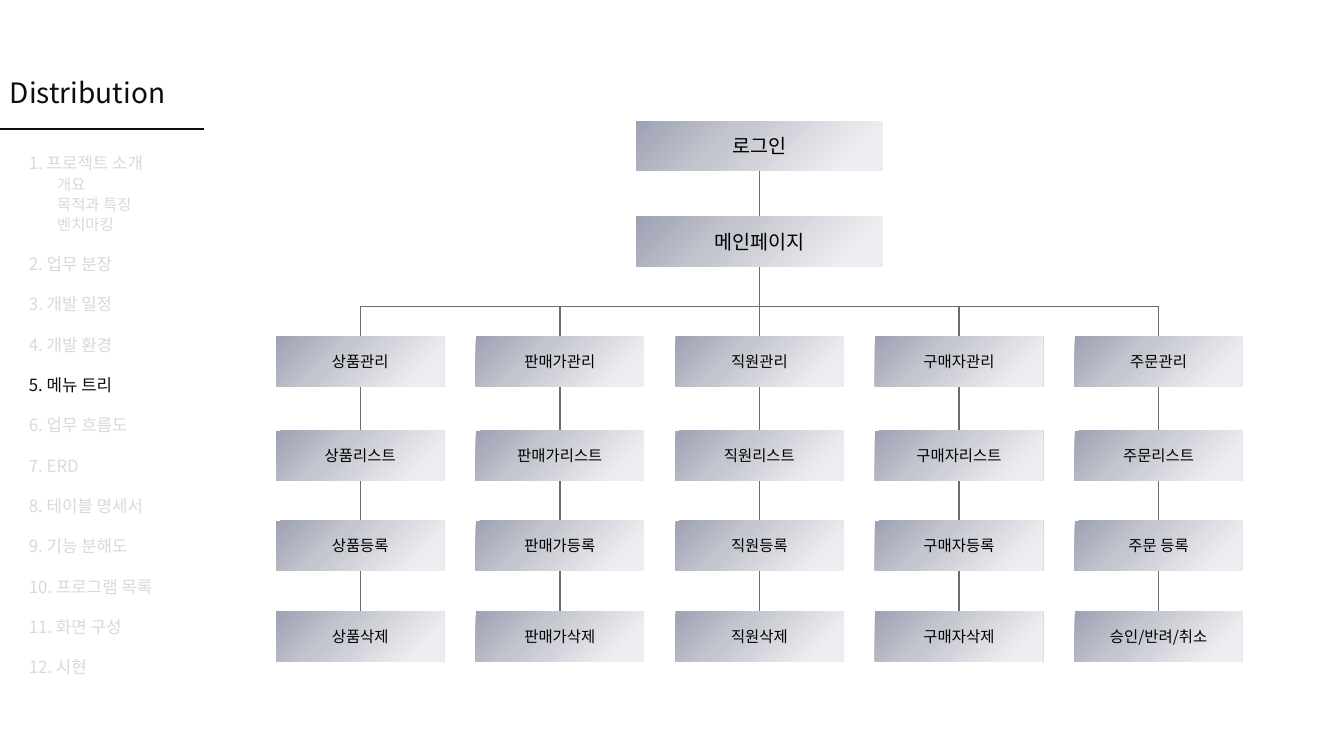
import pptx
import pptx.dml.color
import pptx.enum.shapes
import pptx.enum.text
import pptx.oxml
import pptx.oxml.ns
import pptx.util

Cm, Pt = pptx.util.Cm, pptx.util.Pt
FONT = "Noto Sans CJK KR"
INK, MUTED, BRANCH = "0D0D0D", "D9D9D9", "6C6C6C"
NODE_STOPS = [(0, "9DA1B3"), (37, "C4C6CF"), (84, "ECEDF0")]

CHAPTERS = ["프로젝트 소개", "업무 분장", "개발 일정", "개발 환경", "메뉴 트리", "업무 흐름도",
            "ERD", "테이블 명세서", "기능 분해도", "프로그램 목록", "화면 구성", "시현"]
INTRO_TOPICS = ["개요", "목적과 특징", "벤치마킹"]
CURRENT_CHAPTER = "메뉴 트리"

ENTRY_PAGES = ["로그인", "메인페이지"]
MENUS = [
    ["상품관리", "상품리스트", "상품등록", "상품삭제"],
    ["판매가관리", "판매가리스트", "판매가등록", "판매가삭제"],
    ["직원관리", "직원리스트", "직원등록", "직원삭제"],
    ["구매자관리", "구매자리스트", "구매자등록", "구매자삭제"],
    ["주문관리", "주문리스트", "주문 등록", "승인/반려/취소"],
]


def rgb(hex_color):
    return pptx.dml.color.RGBColor.from_string(hex_color)


def write(paragraph, words, size, color, **layout):
    """Add one run; layout holds paragraph attributes."""
    for name, value in layout.items():
        setattr(paragraph, name, value)
    run = paragraph.add_run()
    run.text = words
    for name, value in {"size": Pt(size), "name": FONT}.items():
        setattr(run.font, name, value)
    run.font.color.rgb = rgb(color)
    east_asian = pptx.oxml.parse_xml(
        f'<a:ea {pptx.oxml.ns.nsdecls("a")} typeface="{FONT}"/>')
    run.font._element.append(east_asian)


def add_line(slide, x1, y1, x2, y2, color, width):
    line = slide.shapes.add_connector(
        pptx.enum.shapes.MSO_CONNECTOR.STRAIGHT, Cm(x1), Cm(y1), Cm(x2), Cm(y2))
    line.line.color.rgb = rgb(color)
    line.line.width = Pt(width)
    line._element.spPr.append(
        pptx.oxml.parse_xml(f'<a:effectLst {pptx.oxml.ns.nsdecls("a")}/>'))


def add_node(slide, left, top, width, height, label, size):
    """Draw a gradient box with a centred label."""
    node = slide.shapes.add_shape(
        pptx.enum.shapes.MSO_SHAPE.RECTANGLE, Cm(left), Cm(top), Cm(width), Cm(height))
    node.shadow.inherit = False
    node.line.fill.background()
    stops = "".join(f'<a:gs pos="{pos * 1000}"><a:srgbClr val="{color}"/></a:gs>'
                    for pos, color in NODE_STOPS)
    gradient = pptx.oxml.parse_xml(
        f'<a:gradFill {pptx.oxml.ns.nsdecls("a")} rotWithShape="1">'
        f'<a:gsLst>{stops}</a:gsLst><a:lin ang="{45 * 60000}" scaled="0"/></a:gradFill>')
    node._element.spPr.find(pptx.oxml.ns.qn("a:prstGeom")).addnext(gradient)
    frame = node.text_frame
    frame.word_wrap = True
    frame.vertical_anchor = pptx.enum.text.MSO_ANCHOR.MIDDLE
    write(frame.paragraphs[0], label, size, "000000",
          alignment=pptx.enum.text.PP_ALIGN.CENTER)


def add_heading(slide, left, top, width):
    heading = slide.shapes.add_textbox(Cm(left), Cm(top), Cm(width), Cm(1.11))
    heading.text_frame.word_wrap = False
    write(heading.text_frame.paragraphs[0], "Distribution", 20, INK)
    add_line(slide, left, top + 1.48, left + width, top + 1.48, INK, 1.5)


def add_contents(slide, left, top, width, height):
    contents = slide.shapes.add_textbox(Cm(left), Cm(top), Cm(width), Cm(height))
    frame = contents.text_frame
    frame.word_wrap = True
    for number, chapter in enumerate(CHAPTERS, 1):
        first = number == 1
        paragraph = frame.paragraphs[0] if first else frame.add_paragraph()
        color = INK if chapter == CURRENT_CHAPTER else MUTED
        write(paragraph, f"{number}. {chapter}", 12, color,
              line_spacing=1.0 if first else 2.0)
        if first:
            for topic in INTRO_TOPICS:
                topic_line = frame.add_paragraph()
                write(topic_line, topic, 11, MUTED, line_spacing=Pt(14.4))
                topic_line._p.get_or_add_pPr().set("marL", str(Cm(0.71)))


def add_menu_tree(slide, left, top, width):
    """Draw the entry pages, the branches and one column of nodes per menu."""
    node_width, node_height, entry_width = 4.24, 1.26, 6.22
    step = (width - node_width) / (len(MENUS) - 1)
    centers = [left + node_width / 2 + i * step for i in range(len(MENUS))]
    entry_tops = [top, top + 2.4]
    menu_tops = [top + offset for offset in (5.42, 7.8, 10.07, 12.35)]
    middle, rail = left + width / 2, top + 4.68

    for center in centers:
        add_line(slide, center, rail, center, menu_tops[-1], BRANCH, 1)
    add_line(slide, middle, top + node_height, middle, rail, BRANCH, 1)
    add_line(slide, centers[0], rail, centers[-1], rail, BRANCH, 1)

    for page, page_top in zip(ENTRY_PAGES, entry_tops):
        add_node(slide, middle - entry_width / 2, page_top, entry_width, node_height, page, 14)
    for center, menu in zip(centers, MENUS):
        for label, node_top in zip(menu, menu_tops):
            add_node(slide, center - node_width / 2, node_top, node_width, node_height, label, 11)


def main():
    deck = pptx.Presentation()
    deck.slide_width, deck.slide_height = Cm(33.87), Cm(19.05)
    slide = deck.slides.add_slide(deck.slide_layouts[6])
    add_heading(slide, 0, 1.78, 5.14)
    add_contents(slide, 0.48, 3.73, 3.68, 13.59)
    add_menu_tree(slide, 6.96, 3.05, 24.36)
    deck.save("out.pptx")


if __name__ == "__main__":
    main()
